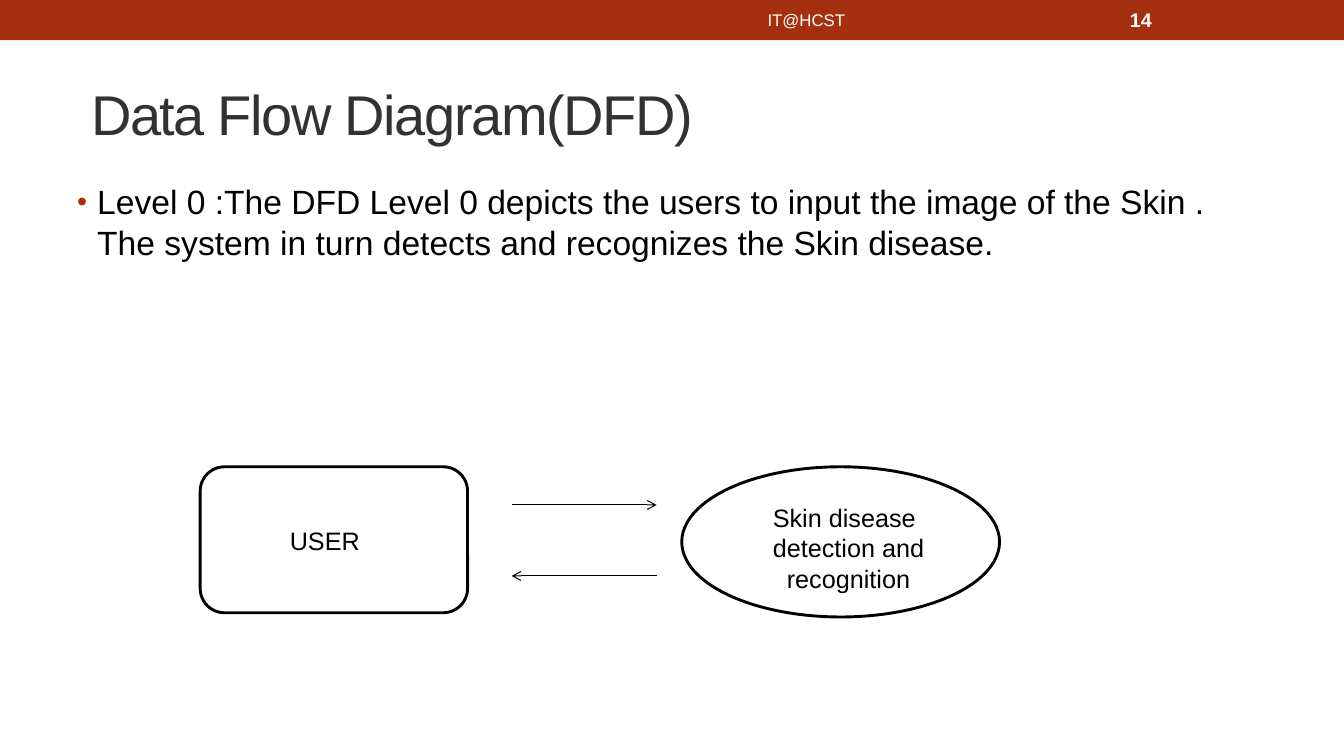
"""Builds the level 0 data flow diagram slide."""
from lxml.etree import SubElement
from pptx import Presentation
from pptx.dml.color import RGBColor
from pptx.enum.shapes import MSO_CONNECTOR as Connector, MSO_SHAPE as Shape
from pptx.enum.text import MSO_ANCHOR as Anchor, PP_ALIGN as Align
from pptx.oxml.ns import qn
from pptx.util import Pt

RUST = RGBColor(0xA5, 0x30, 0x0F)
CHARCOAL = RGBColor(0x32, 0x32, 0x32)
BLACK = RGBColor(0, 0, 0)
WHITE = RGBColor(255, 255, 255)
FONT = "Arial"


def add_label(slide, box, lines, size, color, align=Align.LEFT, anchor=Anchor.TOP, bold=False):
    """Place a wrapped text box with one paragraph per line and return its paragraphs."""
    frame = slide.shapes.add_textbox(*map(Pt, box)).text_frame
    frame.word_wrap = True
    frame.vertical_anchor = anchor
    for index, line in enumerate(lines):
        paragraph = frame.add_paragraph() if index else frame.paragraphs[0]
        paragraph.alignment = align
        run = paragraph.add_run()
        run.text = line
        run.font.name = FONT
        run.font.size = Pt(size)
        run.font.bold = bold
        run.font.color.rgb = color
    return frame.paragraphs


def indent(paragraph, left, first=0):
    """Set the left margin and first-line indent of a paragraph."""
    properties = paragraph._p.get_or_add_pPr()
    properties.set("marL", str(Pt(left)))
    properties.set("indent", str(Pt(first)))
    return properties


def add_node(slide, kind, box, fill, line=None):
    """Place a flat filled shape, outlined when a line colour is given."""
    node = slide.shapes.add_shape(kind, *map(Pt, box))
    node.shadow.inherit = False
    node.fill.solid()
    node.fill.fore_color.rgb = fill
    if line is None:
        node.line.fill.background()
    else:
        node.line.color.rgb = line
        node.line.width = Pt(2.08)


def add_flow(slide, start, end, y):
    """Draw a thin horizontal arrow from start to end."""
    flow = slide.shapes.add_connector(Connector.STRAIGHT, Pt(start), Pt(y), Pt(end), Pt(y))
    flow.line.color.rgb = BLACK
    flow.line.width = Pt(0.75)
    SubElement(flow.line._get_or_add_ln(), qn("a:tailEnd"), type="arrow")
    SubElement(flow._element.spPr, qn("a:effectLst"))


def add_header(slide, box):
    """Draw the top band with the footer text and the slide number."""
    left, top, width, height = box
    add_node(slide, Shape.RECTANGLE, box, RUST)
    add_label(slide, (left + 360, top + 1.4, 432, height - 2.9), ["IT@HCST"], 12, WHITE,
              Align.CENTER, Anchor.MIDDLE)
    add_label(slide, (left + 800, top + 1.4, 112, height - 2.9), ["14"], 14, WHITE,
              anchor=Anchor.MIDDLE, bold=True)


def add_title(slide, box, text):
    """Place the slide title with tightened letter spacing."""
    title, = add_label(slide, box, [text], 40, CHARCOAL, anchor=Anchor.MIDDLE)
    indent(title, 10)
    title.runs[0].font._element.set("spc", "-100")


def add_description(slide, box, text):
    """Place the bulleted description of the diagram level."""
    description, = add_label(slide, box, [text], 24, BLACK)
    properties = indent(description, 14.4, -14.4)
    bullet_color = SubElement(properties, qn("a:buClr"))
    SubElement(bullet_color, qn("a:srgbClr"), val=str(RUST))
    SubElement(properties, qn("a:buSzPct"), val="85000")
    SubElement(properties, qn("a:buFont"), typeface=FONT)
    SubElement(properties, qn("a:buChar"), char="•")


def add_diagram(slide, box):
    """Draw the user, the process and the two flows between them."""
    left, top, width, height = box
    process_width = 227
    process_left = left + width - process_width
    add_node(slide, Shape.ROUNDED_RECTANGLE, (left, top, 191, height - 3), WHITE, BLACK)
    add_node(slide, Shape.OVAL, (process_left, top, process_width, height), WHITE, BLACK)
    flow_start, flow_end = left + 222.5, left + 326
    add_flow(slide, flow_start, flow_end, top + 27.3)
    add_flow(slide, flow_end, flow_start, top + 78)
    add_label(slide, (left + 37.5, top + 38.5, 103, 29), ["USER"], 18, BLACK, Align.CENTER)
    process = add_label(slide, (process_left + 58, top + 22, 139, 72),
                        ["Skin disease detection and", "recognition"], 18, BLACK)
    indent(process[1], 10)


def main():
    """Build and save the slide."""
    deck = Presentation()
    deck.slide_width, deck.slide_height = Pt(960), Pt(540)
    slide = deck.slides.add_slide(deck.slide_layouts[6])
    add_header(slide, (0, 0, 960, 28.8))
    add_title(slide, (48, 42, 864, 78), "Data Flow Diagram(DFD)")
    add_description(slide, (48, 126, 864, 384),
                    "Level 0 :The DFD Level 0 depicts the users to input the image of the Skin . "
                    "The system in turn detects and recognizes the Skin disease.")
    add_diagram(slide, (143, 333.4, 571, 107.3))
    deck.save("out.pptx")


if __name__ == "__main__":
    main()
